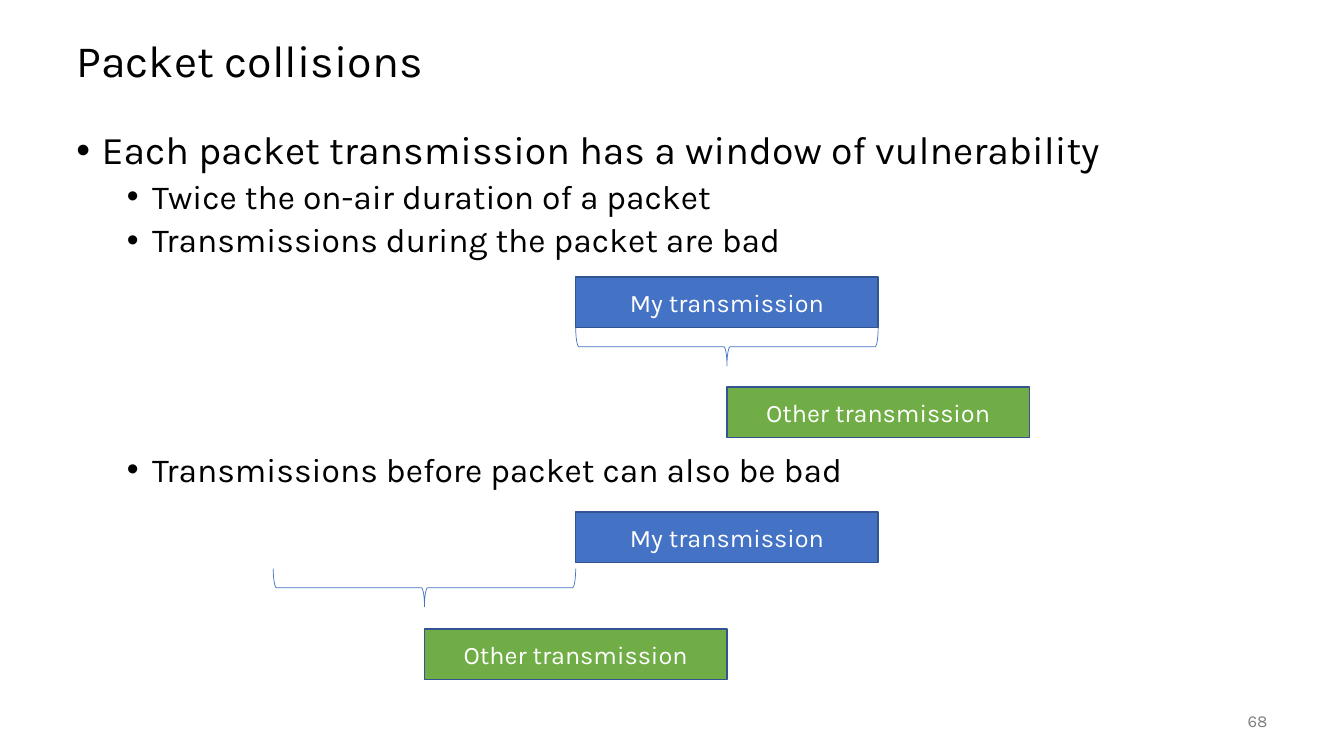
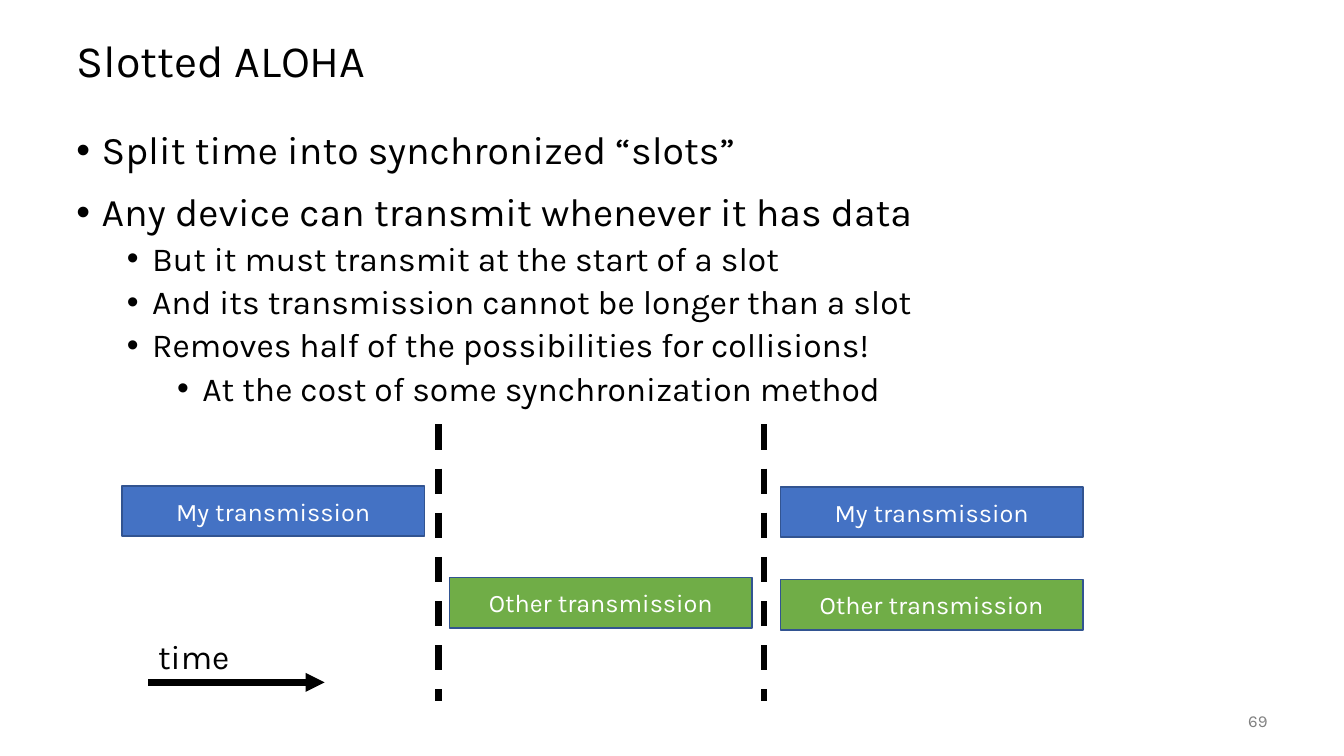
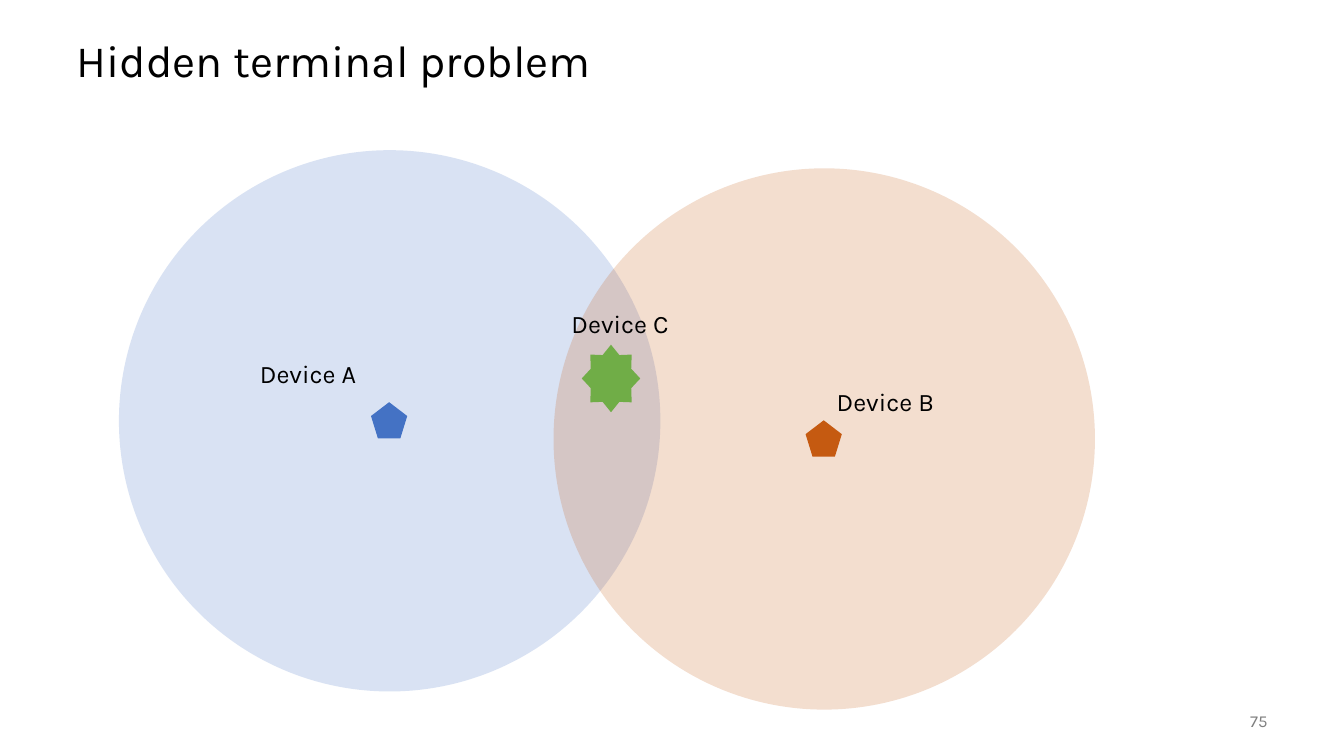
from lxml import etree
from pptx import Presentation
from pptx.dml.color import RGBColor
from pptx.enum.dml import MSO_LINE
from pptx.enum.shapes import MSO_CONNECTOR, MSO_SHAPE
from pptx.enum.text import MSO_ANCHOR, PP_ALIGN
from pptx.oxml.ns import qn
from pptx.util import Pt

PX = 9144
BLANK = 6
FONT = "Karla"
BULLET_FONT = "Arial"
BLACK, WHITE, GRAY = "000000", "FFFFFF", "808080"
BLUE, GREEN, ORANGE, EDGE = "4472C4", "70AD47", "C55A11", "325491"
RECT, ELLIPSE = MSO_SHAPE.RECTANGLE, MSO_SHAPE.OVAL
PENTAGON, STAR = MSO_SHAPE.REGULAR_PENTAGON, MSO_SHAPE.STAR_8_POINT
BRACE = MSO_SHAPE.RIGHT_BRACE
STRAIGHT = MSO_CONNECTOR.STRAIGHT
DASH = MSO_LINE.DASH
TOP, MIDDLE = MSO_ANCHOR.TOP, MSO_ANCHOR.MIDDLE
LEFT, CENTER, RIGHT = PP_ALIGN.LEFT, PP_ALIGN.CENTER, PP_ALIGN.RIGHT
BAR_W, BAR_H = 300, 50
BRACE_H = 38
RANGE_D, DEVICE_D = 537, 36


def px(n):
    return int(n * PX)


def rgb(color):
    return RGBColor.from_string(color)


class Deck:
    """Holds the presentation, its style and the current slide."""

    def __init__(self):
        self.prs = Presentation()
        self.prs.slide_width = px(1333)
        self.prs.slide_height = px(750)

    def slide(self, title, number):
        self.s = self.prs.slides.add_slide(self.prs.slide_layouts[BLANK])
        p = self.text(66, 25, 1200, 75, title, 32, anchor=MIDDLE)
        p.line_spacing = 0.9
        self.text(1167, 695, 100, 40, number, 12, GRAY, RIGHT, MIDDLE)

    def run(self, p, text, size, color):
        r = p.add_run()
        r.text = text
        r.font.name = FONT
        r.font.size = Pt(size)
        r.font.color.rgb = rgb(color)

    def frame(self, x, y, w, h, anchor=TOP):
        tf = self.s.shapes.add_textbox(px(x), px(y), px(w), px(h)).text_frame
        tf.word_wrap = True
        tf.vertical_anchor = anchor
        return tf

    def text(self, x, y, w, h, text, size, color=BLACK, align=LEFT, anchor=TOP):
        p = self.frame(x, y, w, h, anchor).paragraphs[0]
        p.alignment = align
        self.run(p, text, size, color)
        return p

    def bullets(self, items):
        tf = self.frame(66, 125, 1200, 550)
        for i, (level, text, *gap) in enumerate(items):
            p = tf.add_paragraph() if i else tf.paragraphs[0]
            p.level = level
            pPr = p._p.get_or_add_pPr()
            pPr.set("marL", str(px(25 + 50 * level)))
            pPr.set("indent", str(px(-25)))
            etree.SubElement(pPr, qn("a:buFont"), typeface=BULLET_FONT)
            etree.SubElement(pPr, qn("a:buChar"), char="•")
            p.line_spacing = 0.9
            if i:
                p.space_before = Pt(gap[0] if gap else 5 if level else 14)
            self.run(p, text, 24 if level else 28, BLACK)

    def shape(self, kind, x, y, w, h, fill=None, line=None, width=1, alpha=None):
        sp = self.s.shapes.add_shape(kind, px(x), px(y), px(w), px(h))
        sp.shadow.inherit = False
        if fill:
            sp.fill.solid()
            sp.fill.fore_color.rgb = rgb(fill)
        else:
            sp.fill.background()
        if alpha:
            clr = sp.fill._xPr.find(".//" + qn("a:srgbClr"))
            etree.SubElement(clr, qn("a:alpha"), val=str(alpha * 1000))
        if line:
            sp.line.color.rgb = rgb(line)
            sp.line.width = Pt(width)
        else:
            sp.line.fill.background()
        return sp

    def bar(self, x, y, text, fill):
        tf = self.shape(RECT, x, y, BAR_W, BAR_H, fill, EDGE).text_frame
        tf.word_wrap = True
        tf.vertical_anchor = MIDDLE
        p = tf.paragraphs[0]
        p.alignment = CENTER
        self.run(p, text, 18, WHITE)

    def mine(self, x, y):
        self.bar(x, y, "My transmission", BLUE)

    def other(self, x, y):
        self.bar(x, y, "Other transmission", GREEN)

    def brace(self, x, y):
        left = x + (BAR_W - BRACE_H) // 2
        top = y - (BAR_W - BRACE_H) // 2
        sp = self.shape(BRACE, left, top, BRACE_H, BAR_W, line=BLUE, width=0.5)
        sp.rotation = 90

    def line(self, x1, y1, x2, y2, dash=None, arrow=False):
        c = self.s.shapes.add_connector(STRAIGHT, px(x1), px(y1), px(x2), px(y2))
        c.line.color.rgb = rgb(BLACK)
        c.line.width = Pt(4.5)
        if dash:
            c.line.dash_style = dash
        if arrow:
            etree.SubElement(c.line._get_or_add_ln(), qn("a:tailEnd"), type="triangle")
        etree.SubElement(c._element.spPr, qn("a:effectLst"))

    def device(self, cx, cy, color):
        r = DEVICE_D // 2
        self.shape(PENTAGON, cx - r, cy - r, DEVICE_D, DEVICE_D, color)
        r = RANGE_D // 2
        self.shape(ELLIPSE, cx - r, cy - r, RANGE_D, RANGE_D, color, alpha=20)


def collisions(deck):
    deck.slide("Packet collisions", "68")
    deck.bullets([
        (0, "Each packet transmission has a window of vulnerability"),
        (1, "Twice the on-air duration of a packet"),
        (1, "Transmissions during the packet are bad"),
        (1, "Transmissions before packet can also be bad", 138),
    ])
    deck.mine(571, 275)
    deck.brace(571, 325)
    deck.other(721, 384)
    deck.mine(571, 508)
    deck.brace(271, 564)
    deck.other(421, 624)


def slotted_aloha(deck):
    deck.slide("Slotted ALOHA", "69")
    deck.bullets([
        (0, "Split time into synchronized “slots”"),
        (0, "Any device can transmit whenever it has data"),
        (1, "But it must transmit at the start of a slot"),
        (1, "And its transmission cannot be longer than a slot"),
        (1, "Removes half of the possibilities for collisions!"),
        (2, "At the cost of some synchronization method"),
    ])
    deck.mine(121, 482)
    deck.other(446, 573)
    deck.other(774, 575)
    deck.mine(774, 483)
    for x in (435, 758):
        deck.line(x, 421, x, 695, dash=DASH)
    deck.line(147, 677, 322, 677, arrow=True)
    deck.text(147, 626, 143, 50, "time", 24)


def hidden_terminal(deck):
    deck.slide("Hidden terminal problem", "75")
    deck.device(386, 417, BLUE)
    deck.device(817, 435, ORANGE)
    deck.shape(STAR, 577, 342, 58, 67, GREEN)
    for name, x, y in (("A", 248, 351), ("B", 820, 378), ("C", 557, 301)):
        deck.text(x, y, 140, 40, f"Device {name}", 18)


def main():
    deck = Deck()
    collisions(deck)
    slotted_aloha(deck)
    hidden_terminal(deck)
    deck.prs.save("out.pptx")


if __name__ == "__main__":
    main()
